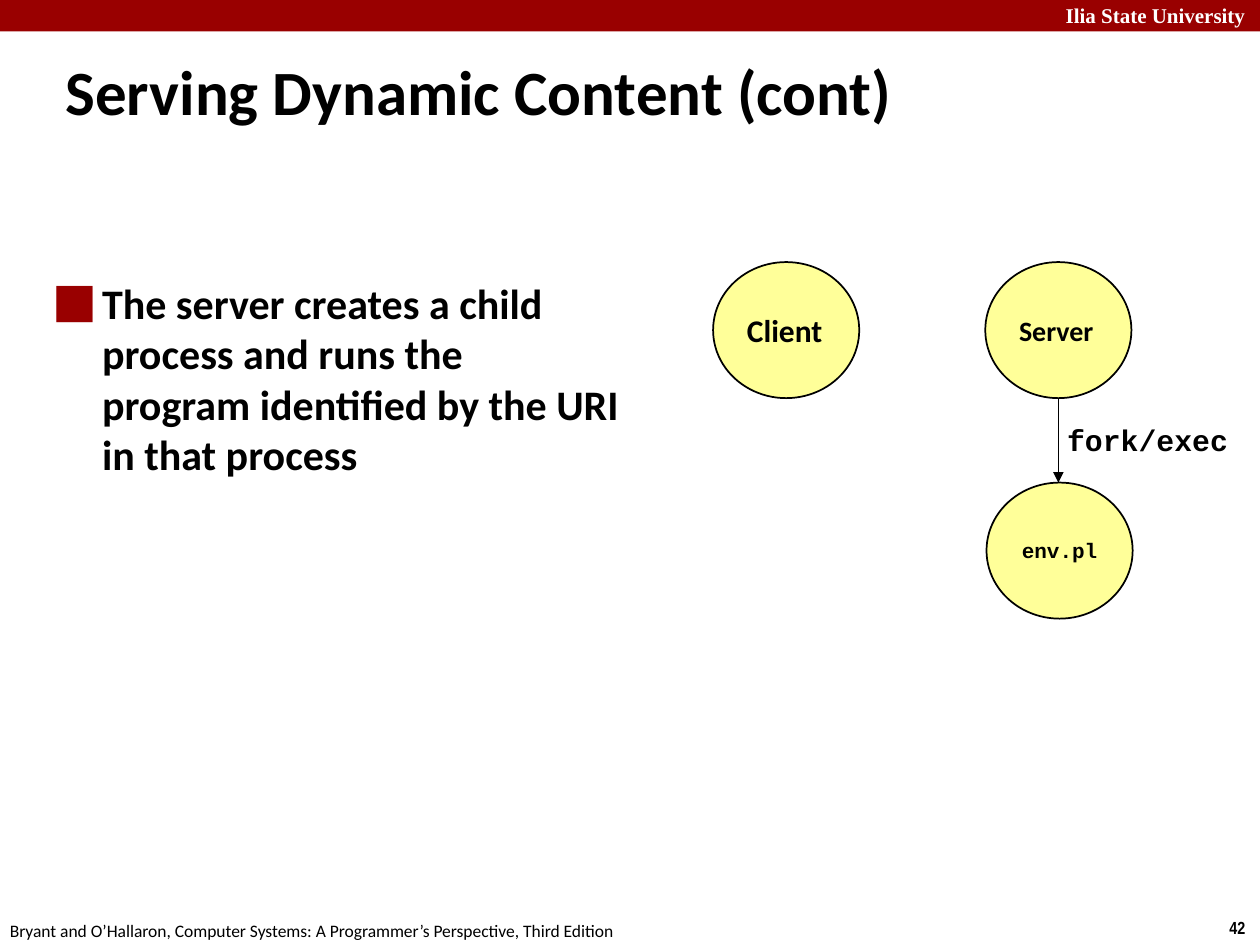
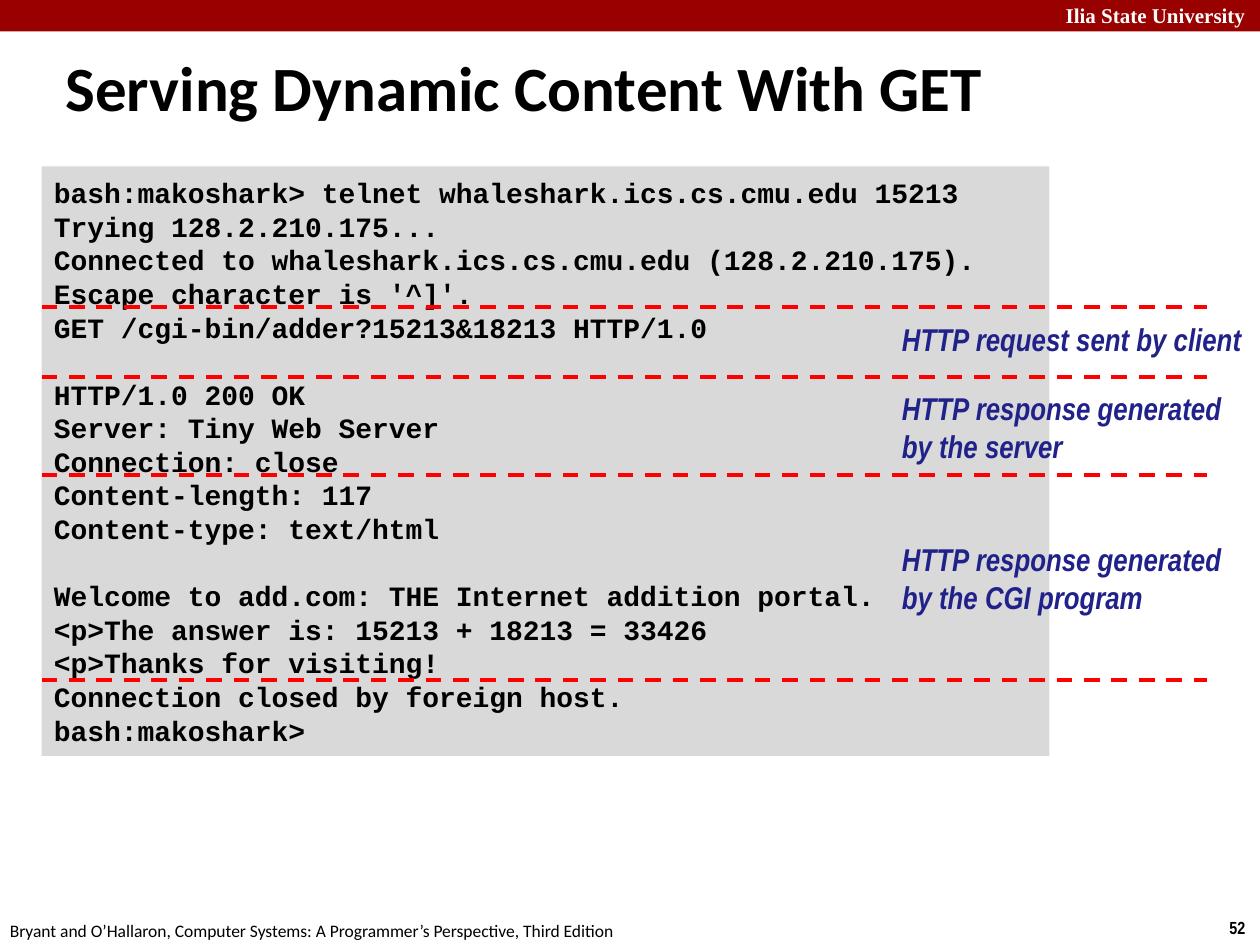
from lxml import etree
from pptx import Presentation
from pptx import util as u
from pptx.dml.color import RGBColor
from pptx.enum import dml, shapes, text
from pptx.oxml.ns import qn

COLORS = {"band": "990000", "white": "FFFFFF", "black": "000000", "node": "FFFF99",
          "code": "D9D9D9", "note": "21218A", "divider": "FF0000"}
UNIVERSITY = "Ilia State University"
SOURCE = "Bryant and O’Hallaron, Computer Systems: A Programmer’s Perspective, Third Edition"

prs = Presentation()
prs.slide_width, prs.slide_height = u.Inches(10), u.Inches(7.5)
COL, ROW = prs.slide_width / 100, prs.slide_height / 75


def area(left, top, width, height):
    return [round(cells * step) for cells, step in
            ((left, COL), (top, ROW), (width, COL), (height, ROW))]


def write(shape, words, size, font="Calibri", color="black", bold=True, italic=False,
          align=text.PP_ALIGN.LEFT, anchor=text.MSO_ANCHOR.TOP, wrap=True,
          spacing=None, hanging=0, bullet=None):
    frame = shape.text_frame
    frame.auto_size = text.MSO_AUTO_SIZE.NONE
    frame.word_wrap = wrap
    frame.vertical_anchor = anchor
    gap = 0
    paragraph = frame.paragraphs[0]
    for line in words.split("\n"):
        if not line:
            gap += spacing
            continue
        if paragraph.text:
            paragraph = frame.add_paragraph()
        paragraph.text = line
        paragraph.alignment = align
        paragraph.space_before = u.Pt(gap)
        gap = 0
        if spacing:
            paragraph.line_spacing = u.Pt(spacing)
        properties = paragraph._p.get_or_add_pPr()
        properties.set("marL", str(u.Inches(hanging)))
        properties.set("indent", str(-u.Inches(hanging)))
        if bullet:
            tint = etree.SubElement(properties, qn("a:buClr"))
            etree.SubElement(tint, qn("a:srgbClr")).set("val", COLORS["band"])
            etree.SubElement(properties, qn("a:buChar")).set("char", bullet)
        paragraph.font.size = u.Pt(size)
        paragraph.font.name = font
        paragraph.font.bold = bold
        paragraph.font.italic = italic
        paragraph.font.color.rgb = RGBColor.from_string(COLORS[color])


pages = []
for layout, heading, width, anchor, number in (
        (1, "Serving Dynamic Content (cont)", 85, text.MSO_ANCHOR.TOP, "42"),
        (5, "Serving Dynamic Content With GET", 91.7, text.MSO_ANCHOR.MIDDLE, "52")):
    page = prs.slides.add_slide(prs.slide_layouts[layout])
    pages.append(page)
    band = page.shapes.add_shape(shapes.MSO_SHAPE.RECTANGLE, *area(0, 0, 100, 2.5))
    band.shadow.inherit = False
    band.fill.solid()
    band.fill.fore_color.rgb = RGBColor.from_string(COLORS["band"])
    band.line.fill.background()
    for place, words, size, style in (
            ((83.6, -0.3, 17.1, 3), UNIVERSITY, 12,
             {"font": "Times New Roman", "color": "white"}),
            ((96.6, 72.3, 3.4, 2.7), number, 10, {"font": "Arial Narrow"}),
            ((-0.2, 72.5, 50.8, 2.7), SOURCE, 10, {"bold": False})):
        write(page.shapes.add_textbox(*area(*place)), words, size, wrap=False, **style)
    title = page.shapes.title
    title.left, title.top, title.width, title.height = area(4.2, 3.7, width, 6.3)
    write(title, heading, 36, anchor=anchor, hanging=0.13)

process_page, session_page = pages

body = process_page.placeholders[1]
body.left, body.top, body.width, body.height = area(3.3, 21.5, 46.9, 20.7)
write(body, "The server creates a child process and runs the program identified by the URI "
      "in that process", 24, hanging=0.38, bullet="⬛")

for left, top, name, size, style in (
        (56.6, 20.8, "Client", 18, {}),
        (78.2, 20.8, "Server", 16, {}),
        (78.3, 38.3, "env.pl", 12, {"font": "Courier New", "align": text.PP_ALIGN.CENTER})):
    node = process_page.shapes.add_shape(shapes.MSO_SHAPE.OVAL, *area(left, top, 11.6, 10.8))
    node.shadow.inherit = False
    node.fill.solid()
    node.fill.fore_color.rgb = RGBColor.from_string(COLORS["node"])
    node.line.color.rgb = RGBColor.from_string(COLORS["black"])
    node.line.width = u.Pt(1)
    write(node, name, size, anchor=text.MSO_ANCHOR.MIDDLE, wrap=False, **style)

write(process_page.shapes.add_textbox(*area(83.7, 32.9, 15.5, 3.9)), "fork/exec", 17,
      font="Courier New", anchor=text.MSO_ANCHOR.MIDDLE, wrap=False)

session = """bash:makoshark> telnet whaleshark.ics.cs.cmu.edu 15213
Trying 128.2.210.175...
Connected to whaleshark.ics.cs.cmu.edu (128.2.210.175).
Escape character is '^]'.
GET /cgi-bin/adder?15213&18213 HTTP/1.0

HTTP/1.0 200 OK
Server: Tiny Web Server
Connection: close
Content-length: 117
Content-type: text/html

Welcome to add.com: THE Internet addition portal.
<p>The answer is: 15213 + 18213 = 33426
<p>Thanks for visiting!
Connection closed by foreign host.
bash:makoshark>"""
terminal = session_page.shapes.add_shape(shapes.MSO_SHAPE.RECTANGLE, *area(3.3, 13.2, 80, 46.8))
terminal.shadow.inherit = False
terminal.fill.solid()
terminal.fill.fore_color.rgb = RGBColor.from_string(COLORS["code"])
terminal.line.fill.background()
write(terminal, session, 16, font="Courier New", anchor=text.MSO_ANCHOR.MIDDLE,
      wrap=False, spacing=19.2)

for top, height, note in ((24.9, 4, "HTTP request sent by client"),
                          (30.4, 7.1, "HTTP response generated\nby the server"),
                          (42.4, 7.1, "HTTP response generated\nby the CGI program")):
    write(session_page.shapes.add_textbox(*area(70.6, top, 29.3, height)), note, 18,
          font="Arial Narrow", color="note", italic=True, wrap=False, spacing=21.6)

fork = (process_page, (84, 31.6, 84, 38.3), "black", 1, None)
dividers = [(session_page, (3.3, row, 95.8, row), "divider", 2.25, dml.MSO_LINE.DASH)
            for row in (24.4, 29.9, 37.7, 54)]
for page, ends, color, weight, dash in [fork] + dividers:
    stroke = page.shapes.add_connector(shapes.MSO_CONNECTOR.STRAIGHT, *area(*ends))
    stroke.line.color.rgb = RGBColor.from_string(COLORS[color])
    stroke.line.width = u.Pt(weight)
    properties = stroke._element.spPr
    if dash:
        stroke.line.dash_style = dash
    else:
        etree.SubElement(properties.find(qn("a:ln")), qn("a:tailEnd")).set("type", "triangle")
    etree.SubElement(properties, qn("a:effectLst"))

prs.save("out.pptx")
